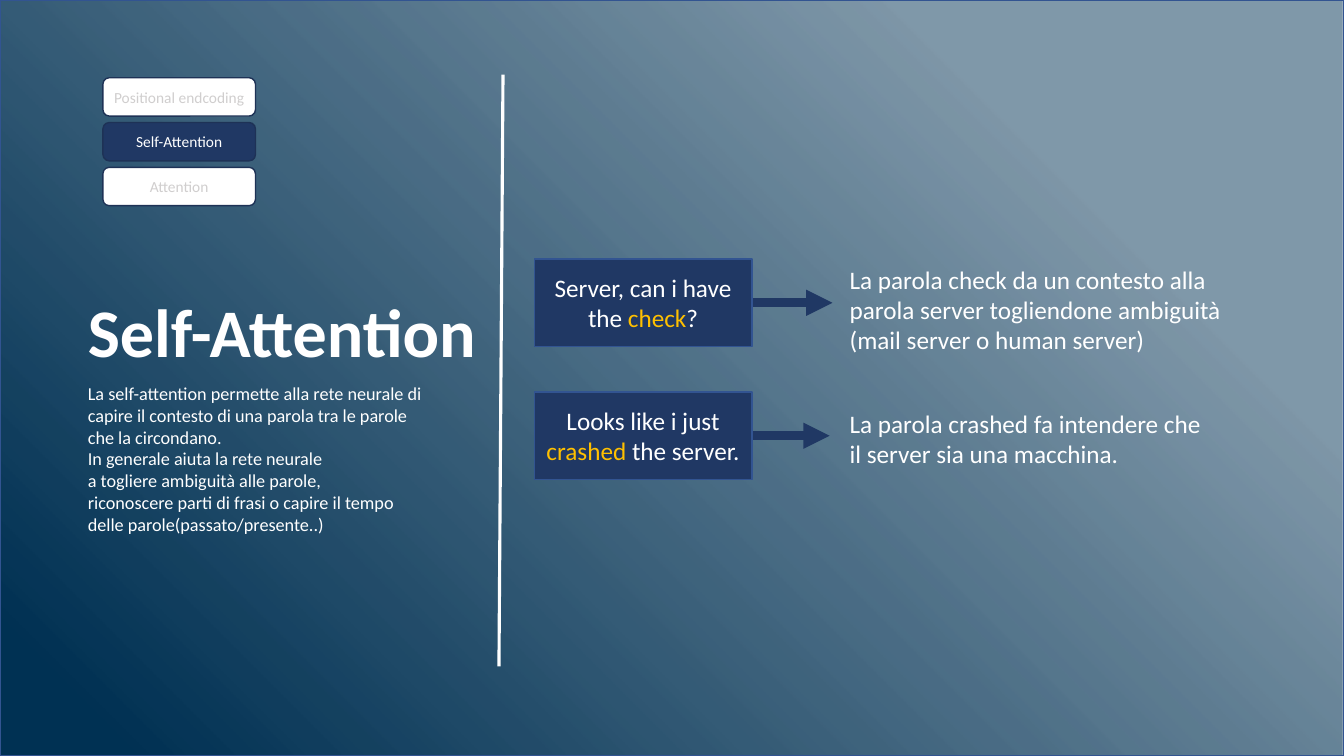
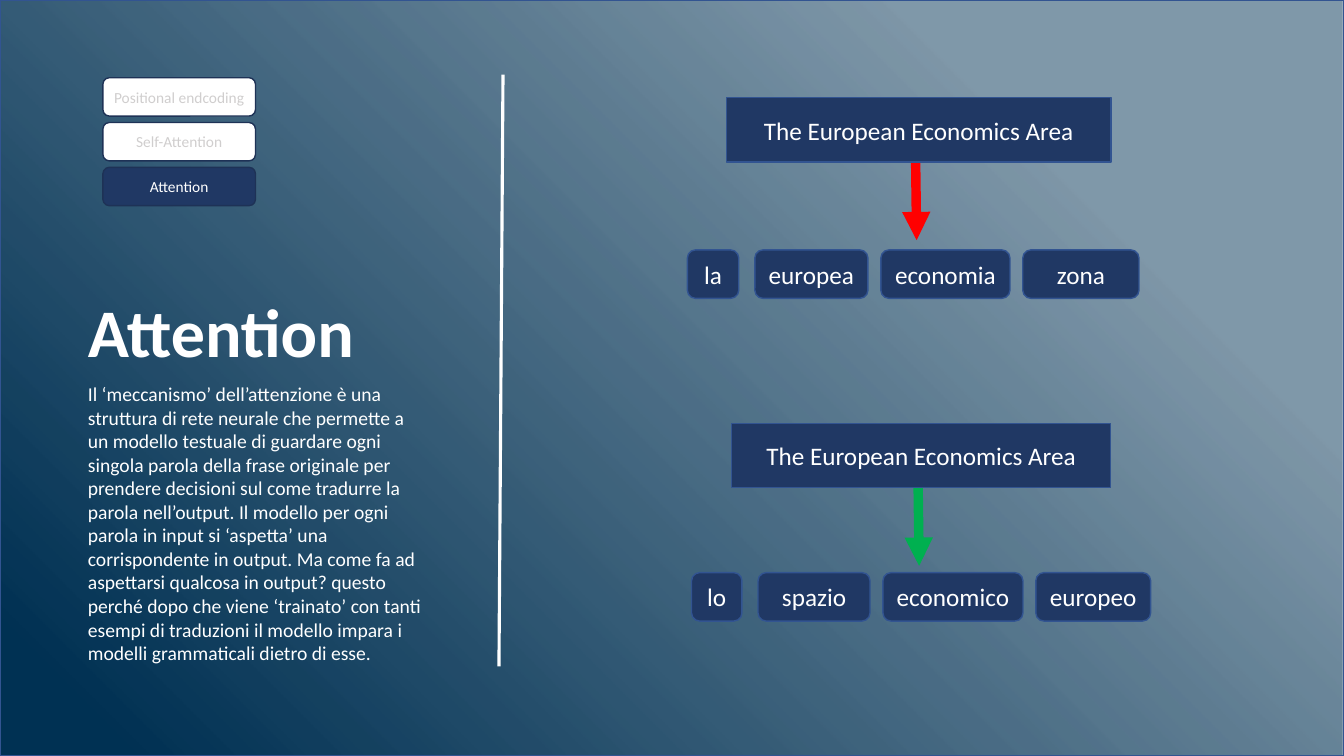
import dataclasses

import lxml.etree
import pptx
import pptx.dml.color
import pptx.enum.shapes
import pptx.enum.text
import pptx.oxml
import pptx.oxml.ns
import pptx.util

Pt = pptx.util.Pt
SHAPE = pptx.enum.shapes.MSO_SHAPE
ANCHOR = pptx.enum.text.MSO_ANCHOR
ALIGN = pptx.enum.text.PP_ALIGN
qn = pptx.oxml.ns.qn


@dataclasses.dataclass(frozen=True)
class Theme:
    font: str = "Calibri"
    white: str = "FFFFFF"
    navy: str = "203864"
    border: str = "325491"
    tab_border: str = "1E3256"
    muted: str = "D0CECE"
    accent: str = "FFC000"
    wrong: str = "FF0000"
    right: str = "00B050"
    prussian: str = "003153"
    title_size: float = 48.6
    label_size: float = 18
    tab_size: float = 11
    border_width: float = 1
    divider_width: float = 2.25


THEME = Theme()
SLIDE_WIDTH, SLIDE_HEIGHT = 960, 540
TOPICS = ("Positional endcoding", "Self-Attention", "Attention")
HARD_SPACE = chr(160)  # keeps neighbouring words on one line


# Basic parts
def rgb(color):
    return pptx.dml.color.RGBColor.from_string(color)


def apply_format(target, values):
    for name, value in values.items():
        setattr(target, name, value)


def write_text(frame, paragraphs, size, align=ALIGN.LEFT, bold=False, spacing=None):
    """Each paragraph is a list of (text, color) runs."""
    frame.word_wrap = True
    for index, runs in enumerate(paragraphs):
        paragraph = frame.add_paragraph() if index else frame.paragraphs[0]
        apply_format(paragraph, {"alignment": align, "line_spacing": spacing})
        for text, color in runs:
            run = paragraph.add_run()
            run.text = text
            apply_format(run.font, {"name": THEME.font, "size": Pt(size), "bold": bold})
            run.font.color.rgb = rgb(color)


def add_text(slide, box, paragraphs, size, anchor=ANCHOR.TOP, **text_format):
    frame = slide.shapes.add_textbox(*map(Pt, box)).text_frame
    frame.vertical_anchor = anchor
    write_text(frame, paragraphs, size, **text_format)


def add_box(container, kind, box, runs, size=THEME.label_size,
            fill=THEME.navy, border=THEME.border):
    shape = container.shapes.add_shape(kind, *map(Pt, box))
    shape.shadow.inherit = False
    shape.fill.solid()
    shape.fill.fore_color.rgb = rgb(fill)
    shape.line.color.rgb = rgb(border)
    shape.line.width = Pt(THEME.border_width)
    if runs:
        shape.text_frame.vertical_anchor = ANCHOR.MIDDLE
        write_text(shape.text_frame, [runs], size, ALIGN.CENTER)
    return shape


def add_line(slide, start, end, color, width, arrow=False):
    connector = slide.shapes.add_connector(
        pptx.enum.shapes.MSO_CONNECTOR.STRAIGHT, *map(Pt, (*start, *end)))
    connector.line.color.rgb = rgb(color)
    connector.line.width = Pt(width)
    properties = connector._element.spPr
    if arrow:
        outline = properties.find(qn("a:ln"))
        lxml.etree.SubElement(outline, qn("a:tailEnd"), type="triangle")
    lxml.etree.SubElement(properties, qn("a:effectLst"))


# Shared regions
def add_background(slide):
    shape = add_box(slide, SHAPE.RECTANGLE, (0, 0, SLIDE_WIDTH, SLIDE_HEIGHT), None)
    gradient = pptx.oxml.parse_xml(
        f'<a:gradFill {pptx.oxml.ns.nsdecls("a")} rotWithShape="1"><a:gsLst>'
        f'<a:gs pos="22000"><a:srgbClr val="{THEME.prussian}">'
        '<a:alpha val="50000"/></a:srgbClr></a:gs>'
        f'<a:gs pos="94000"><a:srgbClr val="{THEME.prussian}"/></a:gs></a:gsLst>'
        '<a:path path="circle"><a:fillToRect l="100000" b="100000"/></a:path>'
        '<a:tileRect t="-100000" r="-100000"/></a:gradFill>')
    properties = shape._element.spPr
    properties.replace(properties.find(qn("a:solidFill")), gradient)


def add_topic_tabs(slide, left, top, active):
    width, height, pitch = 109, 27.4, 32
    # Narrow side margins keep every label on one line inside its tab
    margins = {"margin_left": Pt(2), "margin_right": Pt(2),
               "margin_top": Pt(0), "margin_bottom": Pt(0)}
    for index, topic in enumerate(TOPICS):
        selected = topic == active
        tab = add_box(slide, SHAPE.ROUNDED_RECTANGLE,
                      (left, top + index * pitch, width, height),
                      [(topic, THEME.white if selected else THEME.muted)],
                      THEME.tab_size, THEME.navy if selected else THEME.white,
                      THEME.tab_border)
        apply_format(tab.text_frame, margins)


def add_topic_text(slide, left, top, title, paragraphs, size):
    title_height = 57
    add_text(slide, (left, top, 297.4, title_height), [[(title, THEME.white)]],
             THEME.title_size, ANCHOR.BOTTOM, bold=True, spacing=0.9)
    add_text(slide, (left, top + title_height, 257, 149),
             [[(text, THEME.white)] for text in paragraphs], size)


def add_topic_slide(presentation, title, paragraphs, size):
    slide = presentation.slides.add_slide(presentation.slide_layouts[6])
    add_background(slide)
    add_topic_text(slide, 55.7, 212.4, title, paragraphs, size)
    add_line(slide, (359.3, 53.3), (356.4, 476), THEME.white, THEME.divider_width)
    add_topic_tabs(slide, 73.5, 55.5, title)
    return slide


# Example sentence, arrow and explanation
def add_example(slide, left, top, runs, explanation, text_top, text_size, arrow_end):
    width, height = 155.5, 62.6
    middle = top + height / 2
    add_line(slide, (left + width / 2, middle), (left + arrow_end, middle),
             THEME.navy, 6.25, arrow=True)
    add_box(slide, SHAPE.RECTANGLE, (left, top, width, height), runs)
    add_text(slide, (left + 218.2, top + text_top, *text_size),
             [[(explanation, THEME.white)]], THEME.label_size)


# Source sentence, arrow and row of translated words
def add_translation(slide, box, arrow_color, words_left, words_top, words):
    left, top, width, height = box
    arrow_x, arrow_top = left + width / 2 - 2.2, top + height
    add_line(slide, (arrow_x, arrow_top), (arrow_x + 0.7, arrow_top + 55.8),
             arrow_color, 6.75, arrow=True)
    add_box(slide, SHAPE.RECTANGLE, box, [("The European Economics Area", THEME.white)])
    row = slide.shapes.add_group_shape()
    word_left = words_left
    for index, (word, word_width) in enumerate(words):
        add_box(row, SHAPE.ROUNDED_RECTANGLE,
                (word_left, top + words_top, word_width, 34.6), [(word, THEME.white)])
        word_left += word_width + (9.2 if index else 11.5)


# Slides
def build_self_attention(presentation):
    second_paragraph = " ".join([
        "In generale aiuta la rete neurale",
        HARD_SPACE.join(["a", "togliere", "ambiguità", "alle", "parole,"]),
        HARD_SPACE.join(["riconoscere", "parti"]),
        "di frasi o capire il tempo",
        HARD_SPACE.join(["delle", "parole(passato/presente..)"])])
    slide = add_topic_slide(presentation, "Self-Attention", [
        "La self-attention permette alla rete neurale di capire il contesto di una "
        "parola tra le parole che la circondano.",
        second_paragraph], 13)
    examples = [
        ([("Server, can i have the ", THEME.white), ("check", THEME.accent),
          ("?", THEME.white)],
         "La parola check da un contesto alla parola server togliendone ambiguità "
         "(mail server o human server)", 0, (293.8, 72.7), 213),
        ([("Looks like i just ", THEME.white), ("crashed", THEME.accent),
          (" the server.", THEME.white)],
         "La parola crashed fa intendere che il server sia una macchina.",
         8, (267.8, 51), 211),
    ]
    for index, example in enumerate(examples):
        add_example(slide, 381.6, 185 + index * 95, *example)


def build_attention(presentation):
    slide = add_topic_slide(presentation, "Attention", [
        "Il ‘meccanismo’ dell’attenzione è una struttura di rete neurale che permette "
        "a un modello testuale di guardare ogni singola parola della frase originale "
        "per prendere decisioni sul come tradurre la parola nell’output. Il modello "
        "per ogni parola in input si ‘aspetta’ una corrispondente in output. Ma come "
        "fa ad aspettarsi qualcosa in output? questo perché dopo che viene ‘trainato’ "
        "con tanti esempi di traduzioni il modello impara i modelli grammaticali "
        "dietro di esse."], 14)
    add_translation(slide, (519, 69.8, 274.5, 46), THEME.wrong, 491, 108.7,
                    [("la", 36.7), ("europea", 80.8), ("economia", 92.2), ("zona", 83)])
    add_translation(slide, (522.7, 302.4, 270.7, 46), THEME.right, 494, 106.6,
                    [("lo", 36), ("spazio", 80), ("economico", 100), ("europeo", 82)])


def main():
    presentation = pptx.Presentation()
    apply_format(presentation, {"slide_width": Pt(SLIDE_WIDTH),
                                "slide_height": Pt(SLIDE_HEIGHT)})
    build_self_attention(presentation)
    build_attention(presentation)
    presentation.save("out.pptx")


if __name__ == "__main__":
    main()
